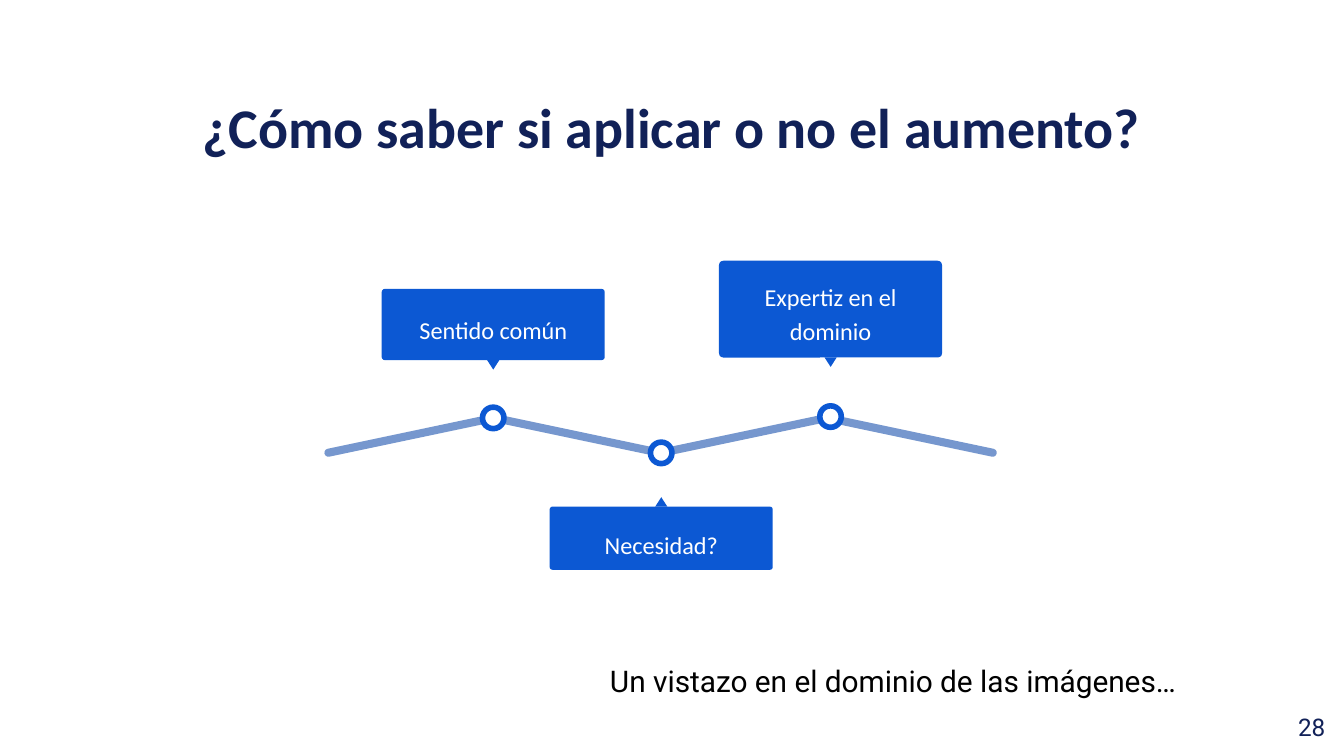
from pptx import Presentation
from pptx.dml.color import RGBColor
from pptx.enum import shapes, text
from pptx.util import Inches, Pt

THEME = {
    "navy": "112158", "blue": "0C58D3", "track": "7697CE",
    "white": "FFFFFF", "black": "000000",
    "heading_font": "Calibri", "body_font": "Roboto",
    "title_size": 30, "note_size": 16, "label_size": 13,
}

TITLE = "¿Cómo saber si aplicar o no el aumento?"
NOTE = "Un vistazo en el dominio de las imágenes…"
PAGE_NUMBER = "28"

MILESTONES = [
    {"label": "Sentido común", "center": 3.67, "top": 2.15, "height": 0.53,
     "text_top": 2.21, "text_height": 0.43, "dot_top": 3.03, "above": True},
    {"label": "Necesidad?", "center": 4.92, "top": 3.77, "height": 0.47,
     "text_top": 3.81, "text_height": 0.43, "dot_top": 3.29, "above": False},
    {"label": "Expertiz en el dominio", "center": 6.18, "top": 1.94, "height": 0.72,
     "text_top": 1.97, "text_height": 0.64, "dot_top": 3.02, "above": True},
]

PAGE_WIDTH = Inches(10)
PAGE_HEIGHT = PAGE_WIDTH * 9 // 16
TRACK_LEFT, TRACK_TOP, TRACK_STEP = 2.4, 3.21, 1.24
TRACK_LENGTH, TRACK_THICKNESS, TRACK_ANGLE = 1.31, 0.06, 11.9
TRACK_SEGMENTS = len(MILESTONES) + 1
CALLOUT_WIDTH, LABEL_WIDTH = 1.66, 1.57
POINTER_WIDTH, POINTER_HEIGHT, DOT_SIZE = 0.09, 0.07, 0.16

CENTER, RIGHT = text.PP_ALIGN.CENTER, text.PP_ALIGN.RIGHT
TOP, MIDDLE = text.MSO_ANCHOR.TOP, text.MSO_ANCHOR.MIDDLE
SHAPE = shapes.MSO_SHAPE


def color(name):
    return RGBColor.from_string(THEME[name])


def add_text(page, words, place, font, size, tone, align, bold=False, anchor=TOP):
    box = page.shapes.add_textbox(*map(Inches, place))
    frame = box.text_frame
    frame.word_wrap = True
    frame.vertical_anchor = anchor
    frame.margin_left = frame.margin_right = Inches(0.1)
    frame.margin_top = frame.margin_bottom = Inches(0.1)
    para = frame.paragraphs[0]
    para.alignment = align
    span = para.add_run()
    span.text = words
    span.font.name = THEME[font]
    span.font.size = Pt(THEME[size])
    span.font.bold = bold
    span.font.color.rgb = color(tone)
    return para


def add_block(page, kind, place, fill, rotation=0, corner=None):
    block = page.shapes.add_shape(kind, *map(Inches, place))
    block.shadow.inherit = False
    block.fill.solid()
    block.fill.fore_color.rgb = color(fill)
    block.line.fill.background()
    block.rotation = rotation
    if corner is not None:
        block.adjustments[0] = corner
    return block


def add_track(page):
    for index in range(TRACK_SEGMENTS):
        place = (TRACK_LEFT + index * TRACK_STEP, TRACK_TOP,
                 TRACK_LENGTH, TRACK_THICKNESS)
        angle = TRACK_ANGLE if index % 2 else 360 - TRACK_ANGLE
        add_block(page, SHAPE.ROUNDED_RECTANGLE, place, "track", angle, 0.5)


def add_milestone(page, item):
    center, top, height = item["center"], item["top"], item["height"]
    add_block(page, SHAPE.ROUNDED_RECTANGLE,
              (center - CALLOUT_WIDTH / 2, top, CALLOUT_WIDTH, height),
              "blue", corner=0.045)

    pointer_top = top + height if item["above"] else top - POINTER_HEIGHT
    add_block(page, SHAPE.ISOSCELES_TRIANGLE,
              (center - POINTER_WIDTH / 2, pointer_top, POINTER_WIDTH, POINTER_HEIGHT),
              "blue", rotation=180 if item["above"] else 0)

    label = add_text(page, item["label"],
                     (center - LABEL_WIDTH / 2, item["text_top"],
                      LABEL_WIDTH, item["text_height"]),
                     "heading_font", "label_size", "white", CENTER)
    label.line_spacing = 1.15
    label.space_after = Pt(16)

    dot = add_block(page, SHAPE.OVAL,
                    (center - DOT_SIZE / 2, item["dot_top"], DOT_SIZE, DOT_SIZE), "white")
    dot.line.color.rgb = color("blue")
    dot.line.width = Pt(3)


def main():
    deck = Presentation()
    deck.slide_width, deck.slide_height = PAGE_WIDTH, PAGE_HEIGHT
    page = deck.slides.add_slide(deck.slide_layouts[6])

    add_text(page, TITLE, (0, 0.59, 10, 0.63),
             "heading_font", "title_size", "navy", CENTER, bold=True)
    add_track(page)
    for item in MILESTONES:
        add_milestone(page, item)
    add_text(page, NOTE, (3.67, 4.83, 5.18, 0.47),
             "body_font", "note_size", "black", RIGHT)
    add_text(page, PAGE_NUMBER, (9.36, 5.19, 0.6, 0.43),
             "body_font", "label_size", "navy", RIGHT, anchor=MIDDLE)

    deck.save("out.pptx")


if __name__ == "__main__":
    main()
